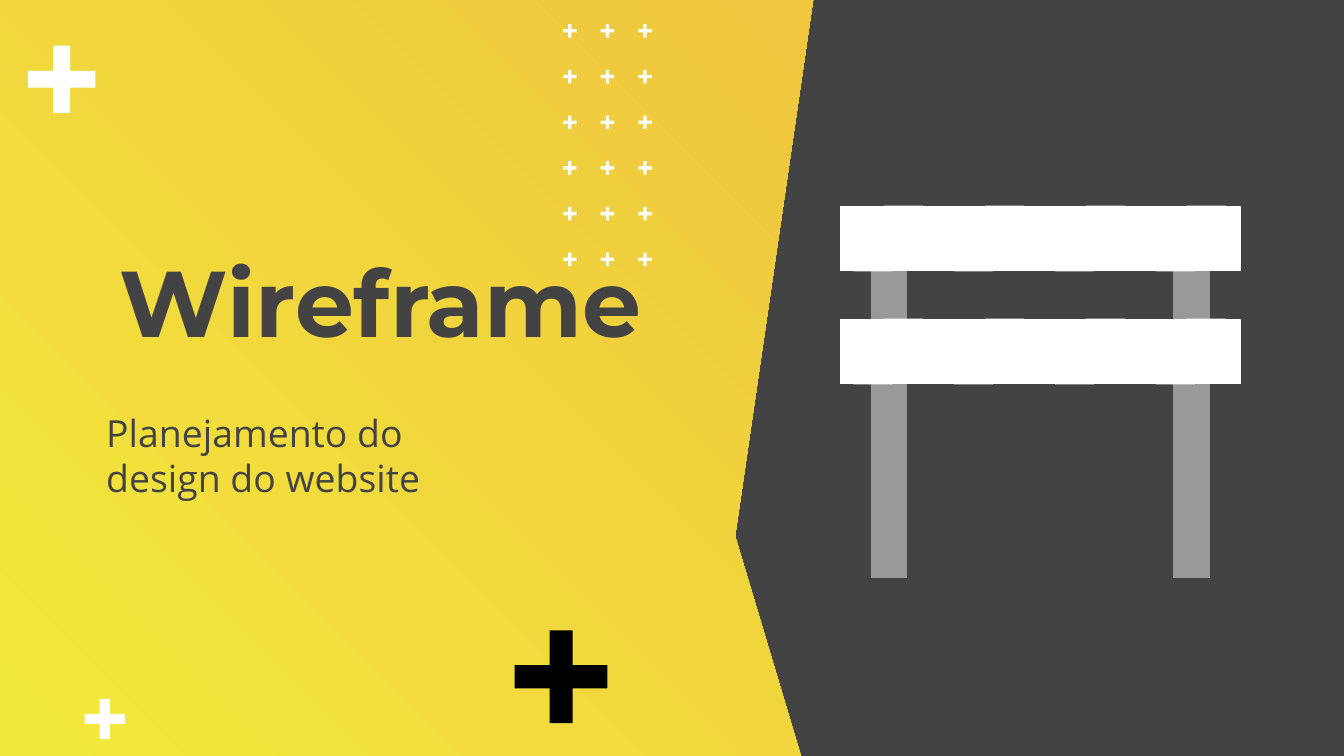
from pptx import Presentation
from pptx.dml.color import RGBColor
from pptx.enum.text import MSO_ANCHOR
from pptx.util import Inches, Pt

DARK, WHITE, GREY, BLACK = "434343", "FFFFFF", "999999", "000000"
YELLOW, ORANGE = "F3E83C", "EFC63E"
SLIDE_WIDTH = 10
SLIDE_HEIGHT = SLIDE_WIDTH * 9 / 16


def color(value):
    return RGBColor.from_string(value)


def add_polygon(shapes, corners, fill):
    points = [(Inches(x), Inches(y)) for x, y in corners]
    builder = shapes.build_freeform(*points[0])
    builder.add_line_segments(points[1:], close=True)
    polygon = builder.convert_to_shape()
    polygon.shadow.inherit = False
    polygon.line.fill.background()
    polygon.fill.solid()
    polygon.fill.fore_color.rgb = color(fill)
    return polygon


def add_rectangle(shapes, left, top, width, height, fill):
    right, bottom = left + width, top + height
    corners = [(left, top), (left, bottom), (right, bottom), (right, top)]
    add_polygon(shapes, corners, fill)


def add_plus(shapes, left, top, size, fill):
    near, far = size * 3 / 8, size * 5 / 8
    corners = [(near, 0), (near, near), (0, near), (0, far), (near, far), (near, size),
               (far, size), (far, far), (size, far), (size, near), (far, near), (far, 0)]
    add_polygon(shapes, [(left + x, top + y) for x, y in corners], fill)


def add_backdrop(shapes):
    corners = [(0, 0), (0, SLIDE_HEIGHT), (5.96, SLIDE_HEIGHT), (5.47, 3.99), (6.05, 0)]
    backdrop = add_polygon(shapes, corners, YELLOW)
    backdrop.fill.gradient()
    backdrop.fill.gradient_angle = 45
    for stop, shade in zip(backdrop.fill.gradient_stops, (YELLOW, ORANGE)):
        stop.color.rgb = color(shade)


def add_plank(shapes, top):
    height = 0.49
    add_rectangle(shapes, 6.25, top, 2.98, height, WHITE)
    for i in range(4):
        left = 6.35 + i * 0.75
        stripe = [(left + 0.23, top), (left, top + height),
                  (left + 0.29, top + height), (left + 0.52, top)]
        add_polygon(shapes, stripe, WHITE)


def add_barrier(shapes):
    barrier = shapes.add_group_shape().shapes
    for left in (6.48, 8.73):
        add_rectangle(barrier, left, 1.74, 0.27, 2.56, GREY)
    for top in (1.53, 2.37):
        add_plank(barrier, top)


def add_plus_grid(shapes):
    grid = shapes.add_group_shape().shapes
    for column in range(3):
        for row in range(6):
            add_plus(grid, 4.19 + column * 0.28, 0.18 + row * 0.34, 0.1, WHITE)


def add_text(shapes, text, left, top, width, height, font, size, side_margin):
    frame = shapes.add_textbox(
        Inches(left), Inches(top), Inches(width), Inches(height)).text_frame
    frame.word_wrap = True
    frame.margin_left = frame.margin_right = Inches(side_margin)
    frame.margin_top = frame.margin_bottom = Inches(0.1)
    frame.text = text
    letters = frame.paragraphs[0].runs[0].font
    letters.name = font
    letters.size = Pt(size)
    letters.color.rgb = color(DARK)
    return frame


def main():
    presentation = Presentation()
    presentation.slide_width = Inches(SLIDE_WIDTH)
    presentation.slide_height = Inches(SLIDE_HEIGHT)
    slide = presentation.slides.add_slide(presentation.slide_layouts[6])
    slide.background.fill.solid()
    slide.background.fill.fore_color.rgb = color(DARK)
    shapes = slide.shapes

    add_backdrop(shapes)
    add_plus(shapes, 3.83, 4.69, 0.69, BLACK)
    add_plus(shapes, 0.21, 0.34, 0.5, WHITE)
    add_plus(shapes, 0.63, 5.2, 0.3, WHITE)

    title = add_text(shapes, "Wireframe", 0.79, 1.77, 4.72, 0.92, "Montserrat", 50, 0.1)
    title.vertical_anchor = MSO_ANCHOR.MIDDLE
    title.paragraphs[0].runs[0].font.bold = True
    subtitle = add_text(shapes, "Planejamento do design do website",
                        0.79, 2.95, 3.12, 0.78, "Open Sans", 20, 0)
    subtitle.paragraphs[0].space_after = Pt(16)

    add_barrier(shapes)
    add_plus_grid(shapes)
    presentation.save("out.pptx")


if __name__ == "__main__":
    main()
